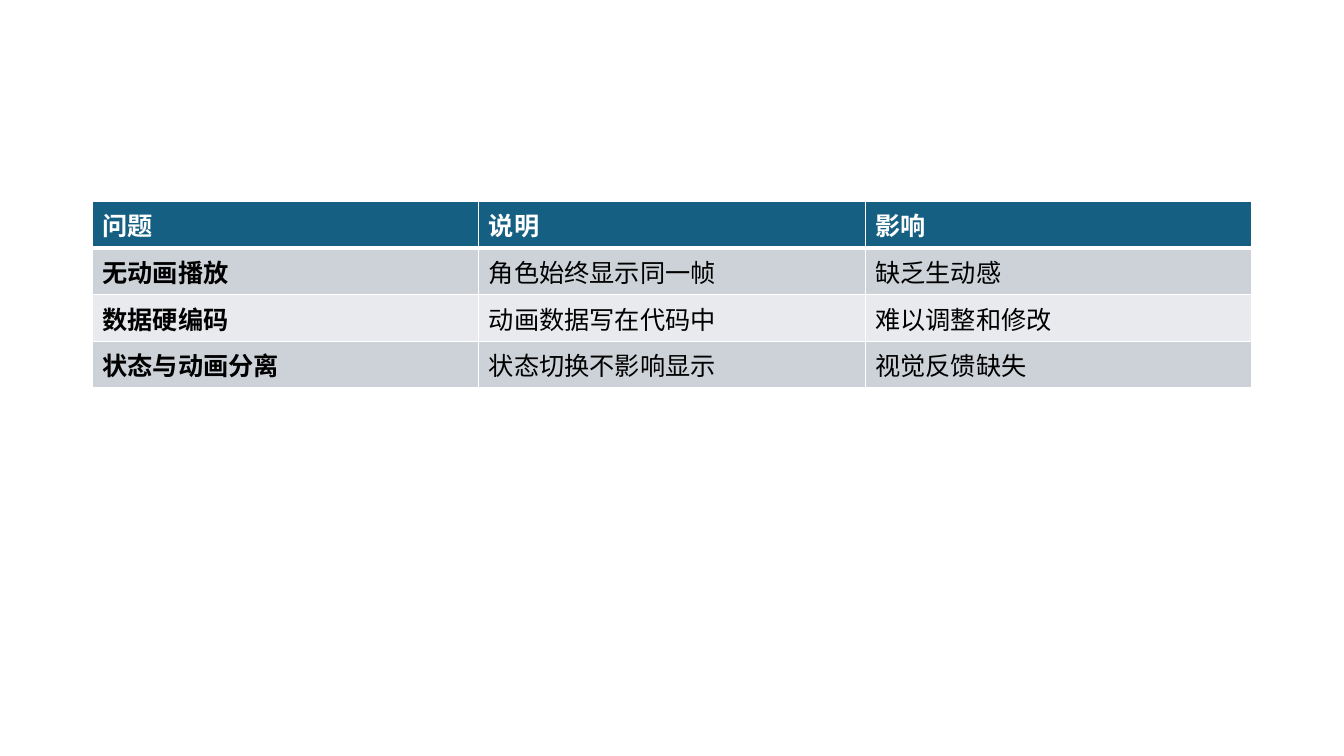
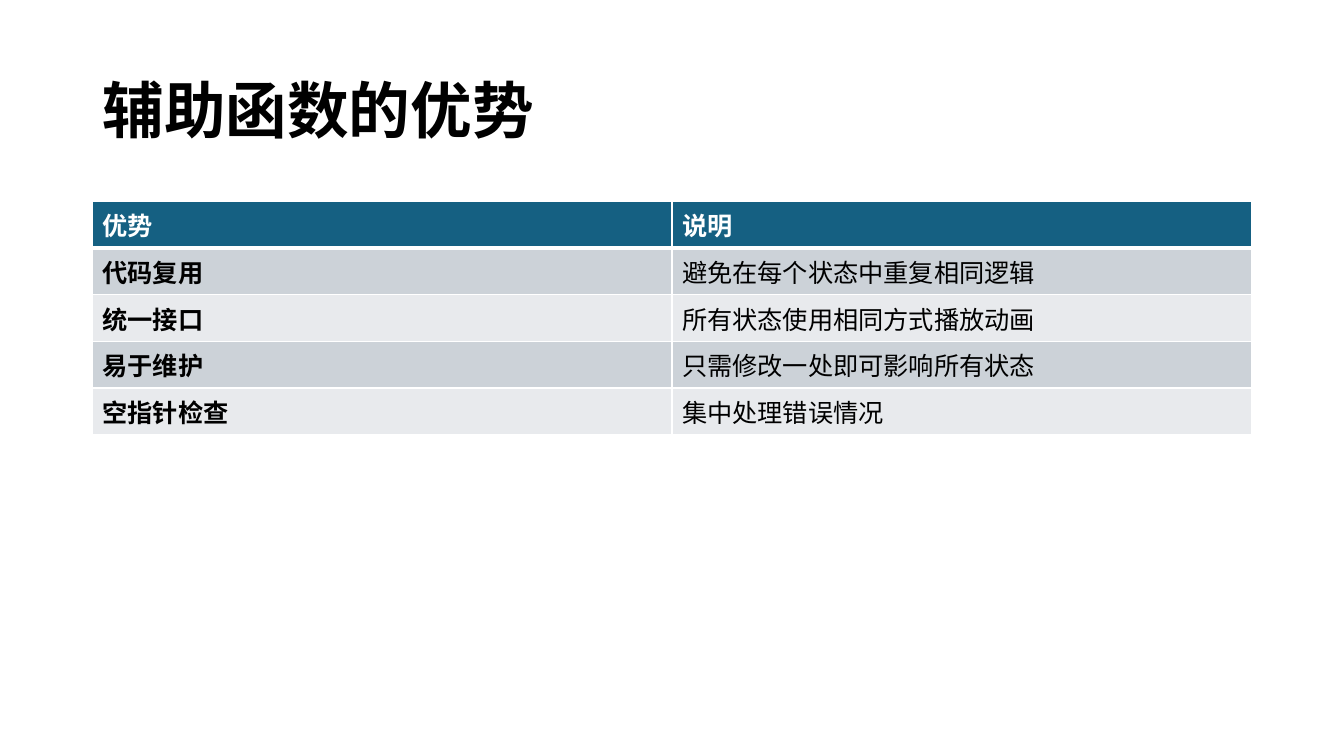
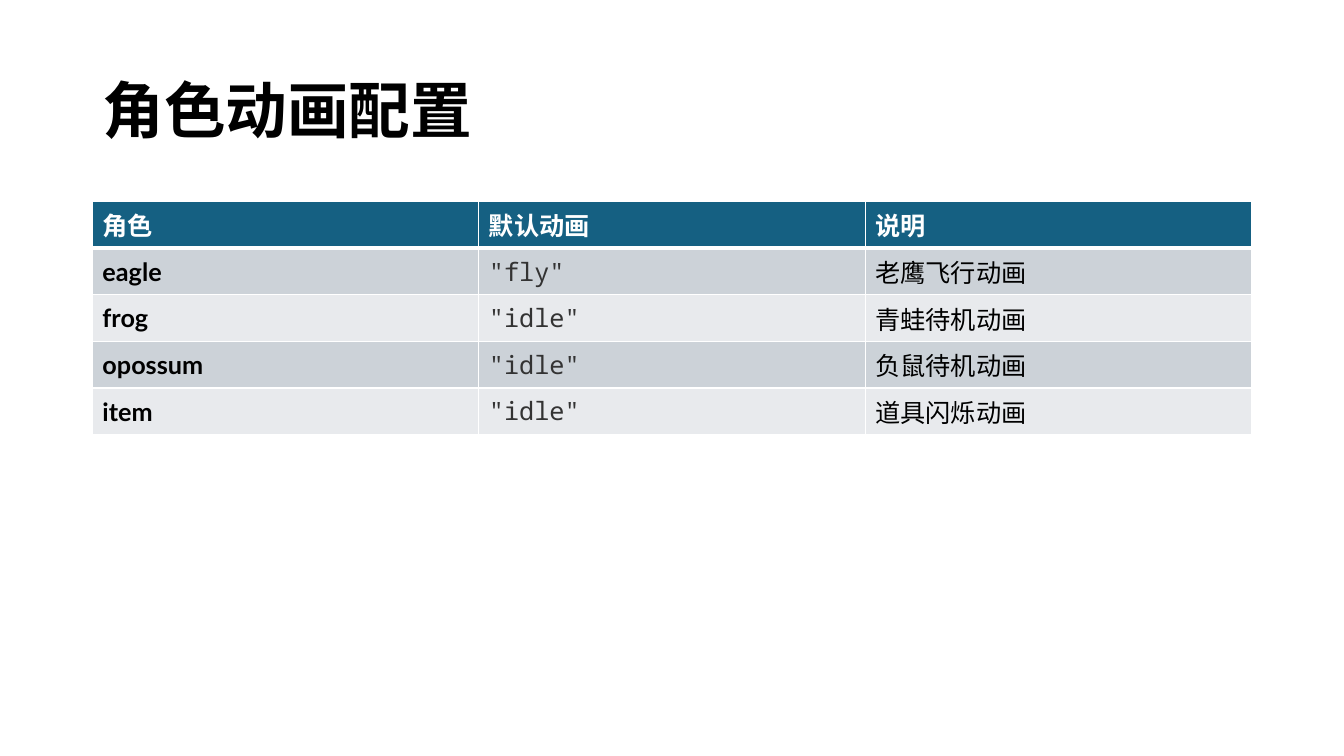
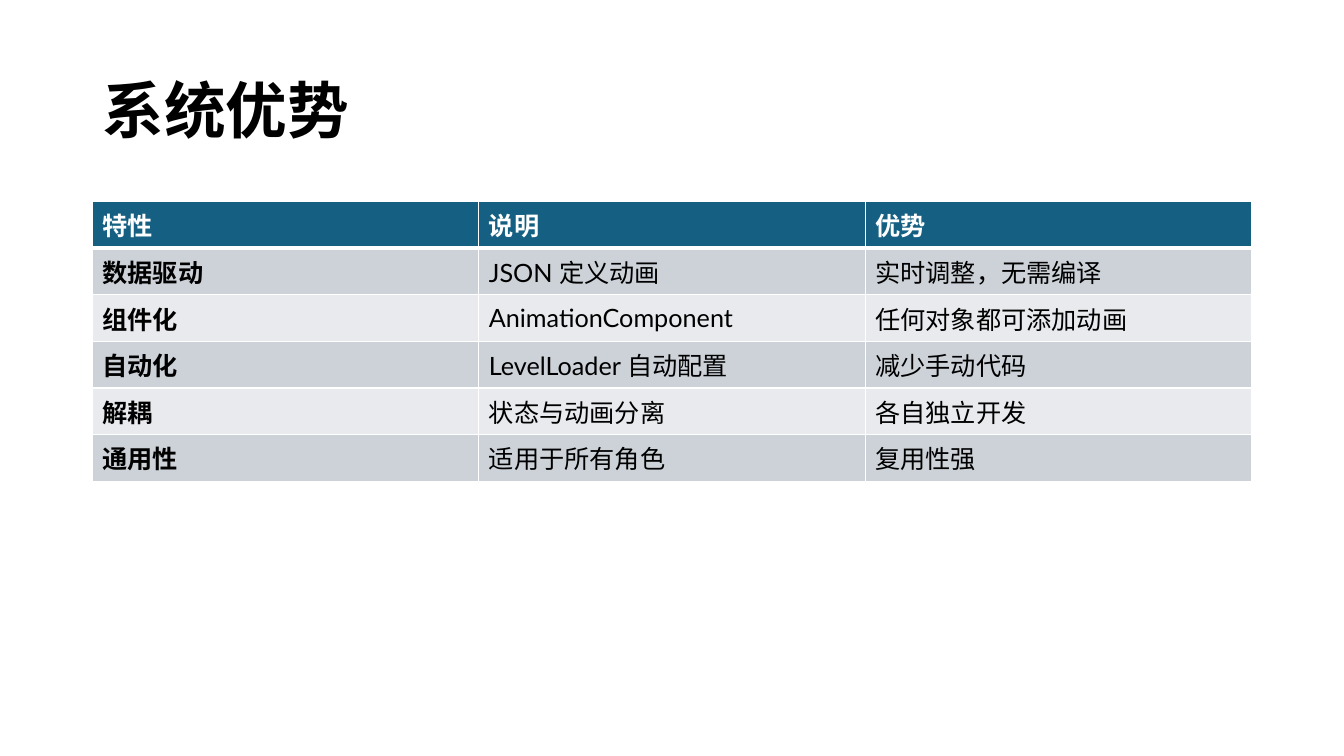
from lxml import etree
from pptx import Presentation
from pptx import util as u
from pptx.dml.color import RGBColor
from pptx.enum import lang, text
from pptx.oxml import ns

HEX = {"head": "156082", "odd": "CCD2D8", "even": "E8EAED",
       "line": "FFFFFF", "light": "FFFFFF", "ink": "000000", "code": "333333"}
COLS, ROWS = 160, 150

# Text formats
BASE = {"name": "Lato", "size": u.Pt(18), "bold": False,
        "language_id": lang.MSO_LANGUAGE_ID.SIMPLIFIED_CHINESE}
BOLD = {**BASE, "bold": True}
TITLE = {**BOLD, "size": u.Pt(44)}
CODE = {**BASE, "name": "Noto Sans Mono"}


class Deck:
    """Holds the shared style and the current slide."""

    def __init__(self):
        self.prs = Presentation()
        self.prs.slide_width = u.Inches(13.33)
        self.prs.slide_height = u.Inches(7.5)
        self.slide = None

    def box(self, x, y, w, h):
        """Turn grid columns and rows into slide lengths."""
        col = self.prs.slide_width / COLS
        row = self.prs.slide_height / ROWS
        return [u.Emu(round(n)) for n in (x * col, y * row, w * col, h * row)]

    def page(self, title=None):
        layout = self.prs.slide_layouts[5 if title else 6]
        self.slide = self.prs.slides.add_slide(layout)
        if title:
            self.title(title)

    def label(self, para, words, style, ink):
        run = para.add_run()
        run.text = words
        for key, value in style.items():
            setattr(run.font, key, value)
        run.font.color.rgb = RGBColor.from_string(HEX[ink])

    def title(self, words):
        shape = self.slide.shapes.title
        place = zip(("left", "top", "width", "height"), self.box(11, 8, 138, 29))
        for key, value in place:
            setattr(shape, key, value)
        frame = shape.text_frame
        frame.auto_size = text.MSO_AUTO_SIZE.NONE
        frame.vertical_anchor = text.MSO_ANCHOR.MIDDLE
        para = frame.paragraphs[0]
        para.alignment = text.PP_ALIGN.LEFT
        para.line_spacing = 0.9
        self.label(para, words, TITLE, "ink")

    def edge(self, cell, row):
        """Draw the cell borders, thicker under the header."""
        wide = {"L": 1, "R": 1, "T": 3 if row == 1 else 1, "B": 3 if row == 0 else 1}
        props = cell._tc.get_or_add_tcPr()
        for side, size in wide.items():
            line = etree.SubElement(props, ns.qn("a:ln" + side), w=str(u.Pt(size)))
            fill = etree.SubElement(line, ns.qn("a:solidFill"))
            etree.SubElement(fill, ns.qn("a:srgbClr"), val=HEX["line"])

    def cell(self, cell, words, row, col):
        band = "head" if row == 0 else "odd" if row % 2 else "even"
        if row == 0:
            style, ink = BOLD, "light"
        elif words.startswith('"'):
            style, ink = CODE, "code"
        else:
            style, ink = BASE if col else BOLD, "ink"
        self.edge(cell, row)
        cell.fill.solid()
        cell.fill.fore_color.rgb = RGBColor.from_string(HEX[band])
        cell.vertical_anchor = text.MSO_ANCHOR.MIDDLE
        self.label(cell.text_frame.paragraphs[0], words, style, ink)

    def table(self, data):
        place = self.box(11, 40, 138, 8.1 * len(data))
        grid = self.slide.shapes.add_table(len(data), len(data[0]), *place).table
        for row, line in enumerate(data):
            for col, words in enumerate(line):
                self.cell(grid.cell(row, col), words, row, col)


# Slide titles and tables
PAGES = [
    (None, [
        ("问题", "说明", "影响"),
        ("无动画播放", "角色始终显示同一帧", "缺乏生动感"),
        ("数据硬编码", "动画数据写在代码中", "难以调整和修改"),
        ("状态与动画分离", "状态切换不影响显示", "视觉反馈缺失"),
    ]),
    ("辅助函数的优势", [
        ("优势", "说明"),
        ("代码复用", "避免在每个状态中重复相同逻辑"),
        ("统一接口", "所有状态使用相同方式播放动画"),
        ("易于维护", "只需修改一处即可影响所有状态"),
        ("空指针检查", "集中处理错误情况"),
    ]),
    ("角色动画配置", [
        ("角色", "默认动画", "说明"),
        ("eagle", '"fly"', "老鹰飞行动画"),
        ("frog", '"idle"', "青蛙待机动画"),
        ("opossum", '"idle"', "负鼠待机动画"),
        ("item", '"idle"', "道具闪烁动画"),
    ]),
    ("系统优势", [
        ("特性", "说明", "优势"),
        ("数据驱动", "JSON 定义动画", "实时调整，无需编译"),
        ("组件化", "AnimationComponent", "任何对象都可添加动画"),
        ("自动化", "LevelLoader 自动配置", "减少手动代码"),
        ("解耦", "状态与动画分离", "各自独立开发"),
        ("通用性", "适用于所有角色", "复用性强"),
    ]),
]


def main():
    deck = Deck()
    for title, data in PAGES:
        deck.page(title)
        deck.table(data)
    deck.prs.save("out.pptx")


if __name__ == "__main__":
    main()
